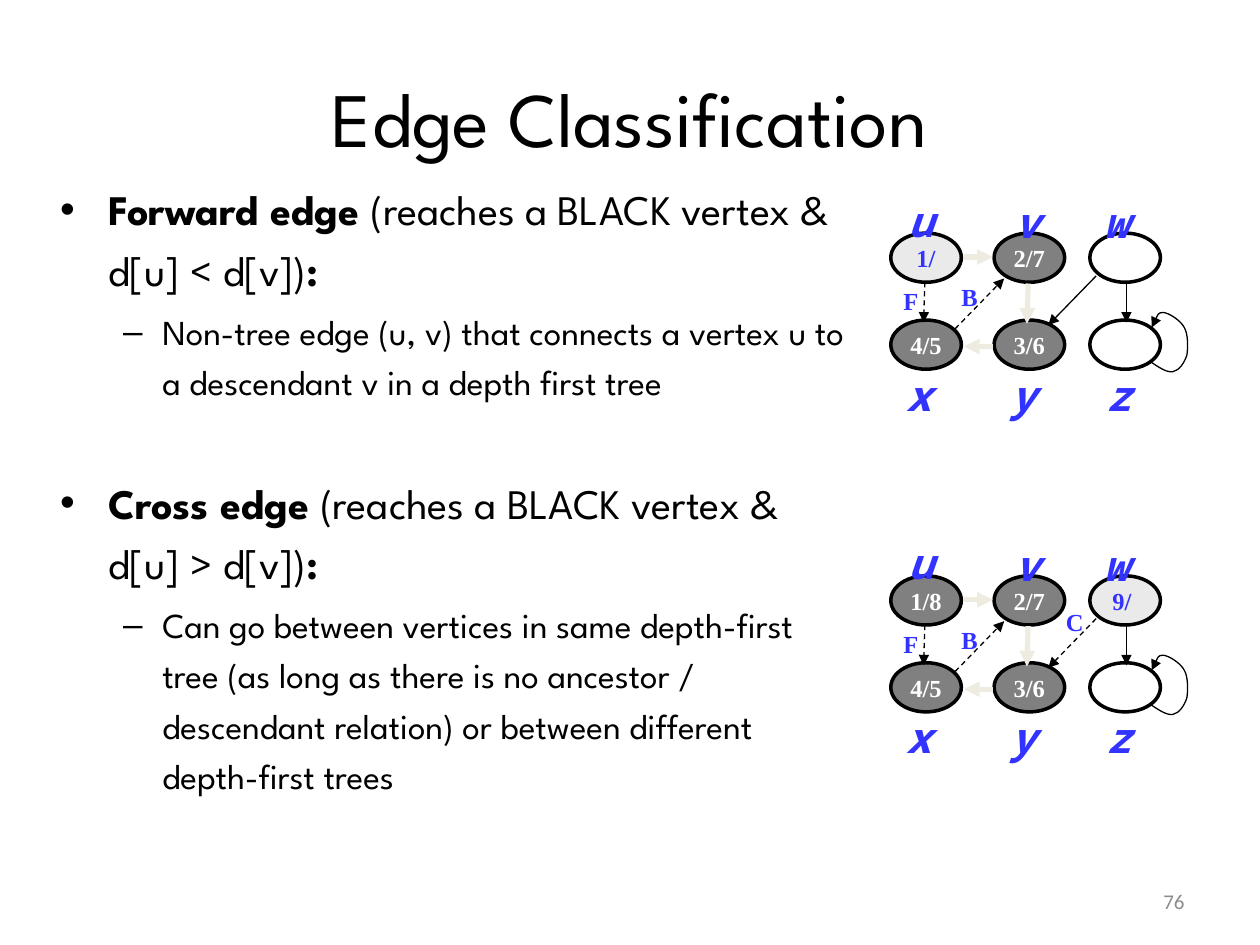
from lxml import etree
from pptx import Presentation
from pptx.dml.color import RGBColor
from pptx.enum import dml, shapes, text
from pptx.oxml import ns
from pptx.util import Inches, Pt

BLACK = RGBColor(0x00, 0x00, 0x00)
WHITE = RGBColor(0xFF, 0xFF, 0xFF)
DARK = RGBColor(0x80, 0x80, 0x80)
LIGHT = RGBColor(0xEA, 0xEA, 0xEA)
BLUE = RGBColor(0x33, 0x33, 0xFF)
CREAM = RGBColor(0xEE, 0xEC, 0xE1)
PAGE_GRAY = RGBColor(0x8C, 0x8C, 0x8C)

BODY_FONT = "League Spartan"
NODE_FONT = "Times New Roman"
NAME_FONT = "Noto Sans Mono"

COLUMNS = (7.07, 7.89, 8.65)
ROW_GAP = 0.69
# Names and edges are placed for a graph whose first row of nodes is at 1.85.
FIRST_TOP = 1.85
NAMES = [
    ("u", 7.11, 1.5, 0.32), ("v", 7.95, 1.51, 0.31), ("w", 8.66, 1.51, 0.37),
    ("x", 7.09, 2.88, 0.31), ("y", 7.92, 2.88, 0.3), ("z", 8.68, 2.88, 0.31),
]
TREE_EDGES = [
    (8.16, 2.25, 8.15, 2.57), (7.65, 2.04, 7.88, 2.04), (7.88, 2.75, 7.65, 2.75),
]
DASHED_EDGES = [(7.34, 2.24, 7.33, 2.56), (7.58, 2.61, 7.97, 2.21)]
W_TO_Z = (8.94, 2.24, 8.94, 2.56)
W_TO_Y = (8.7, 2.19, 8.32, 2.58)
EDGE_NAMES = [("B", 7.53, 2.19, 0.33), ("F", 7.07, 2.22, 0.32)]
SELF_LOOP = [
    (9.13, 2.87),
    (9.19, 2.91), (9.26, 2.96), (9.31, 2.95),
    (9.36, 2.94), (9.4, 2.88), (9.42, 2.82),
    (9.43, 2.76), (9.43, 2.65), (9.4, 2.6),
    (9.37, 2.54), (9.27, 2.48), (9.23, 2.48),
    (9.19, 2.48), (9.17, 2.54), (9.14, 2.6),
]


def add_span(para, words, size, font, color=BLACK, bold=False, italic=False):
    span = para.add_run()
    span.text = words
    span.font.size = Pt(size)
    span.font.name = font
    span.font.color.rgb = color
    span.font.bold = bold
    span.font.italic = italic


def add_label(page, words, left, top, width, height, align=text.PP_ALIGN.CENTER,
              anchor=text.MSO_ANCHOR.TOP, grow=True, **style):
    box = page.shapes.add_textbox(
        Inches(left), Inches(top), Inches(width), Inches(height))
    frame = box.text_frame
    frame.word_wrap = not grow
    frame.auto_size = (text.MSO_AUTO_SIZE.SHAPE_TO_FIT_TEXT if grow
                       else text.MSO_AUTO_SIZE.NONE)
    frame.vertical_anchor = anchor
    frame.paragraphs[0].alignment = align
    add_span(frame.paragraphs[0], words, **style)


def add_bullet(para, mark, left, hanging, space, spans, size):
    """Fill a hanging-indent paragraph with (words, bold) spans."""
    properties = para._p.get_or_add_pPr()
    properties.set("marL", str(Inches(left)))
    properties.set("indent", str(-Inches(hanging)))
    para.line_spacing = 1.2
    para.space_before = Pt(space)
    etree.SubElement(properties, ns.qn("a:buFont"), typeface="Arial")
    etree.SubElement(properties, ns.qn("a:buChar"), char=mark)
    for words, bold in spans:
        add_span(para, words, size, BODY_FONT, bold=bold)


def add_body(page):
    box = page.shapes.add_textbox(
        Inches(0.38), Inches(1.33), Inches(6.46), Inches(5.86))
    frame = box.text_frame
    frame.word_wrap = True
    topics = [
        ("Forward edge ", "(reaches a BLACK vertex & d[u] < d[v])",
         "Non-tree edge (u, v) that connects a vertex u to a descendant v "
         "in a depth first tree", 5),
        ("Cross edge ", "(reaches a BLACK vertex & d[u] > d[v])",
         "Can go between vertices in same depth-first tree (as long as there "
         "is no ancestor / descendant relation) or between different "
         "depth-first trees", 37),
    ]
    for index, (name, condition, meaning, space) in enumerate(topics):
        para = frame.add_paragraph() if index else frame.paragraphs[0]
        add_bullet(para, "•", 0.38, 0.38, space,
                   [(name, True), (condition, False), (":", True)], 24)
        para = frame.add_paragraph()
        para.level = 1
        add_bullet(para, "–", 0.81, 0.31, 4, [(meaning, False)], 20)


def add_node(page, words, left, top, fill):
    node = page.shapes.add_shape(
        shapes.MSO_SHAPE.OVAL, Inches(left), Inches(top), Inches(0.56), Inches(0.39))
    node.shadow.inherit = False
    node.line.color.rgb = BLACK
    node.line.width = Pt(2)
    if fill is None:
        node.fill.background()
        return
    node.fill.solid()
    node.fill.fore_color.rgb = fill
    frame = node.text_frame
    frame.word_wrap = False
    frame.vertical_anchor = text.MSO_ANCHOR.MIDDLE
    frame.paragraphs[0].alignment = text.PP_ALIGN.CENTER
    add_span(frame.paragraphs[0], words, 14, NODE_FONT,
             WHITE if fill == DARK else BLUE, bold=True)


def style_arrow(line, color, width, dashed=False):
    line.color.rgb = color
    line.width = Pt(width)
    if dashed:
        line.dash_style = dml.MSO_LINE.DASH
    etree.SubElement(line._get_or_add_ln(), ns.qn("a:tailEnd"), type="triangle")


def add_edge(page, ends, shift, color=BLACK, width=0.75, dashed=False):
    x1, y1, x2, y2 = ends
    edge = page.shapes.add_connector(
        shapes.MSO_CONNECTOR.STRAIGHT, Inches(x1), Inches(y1 + shift),
        Inches(x2), Inches(y2 + shift))
    style_arrow(edge.line, color, width, dashed)
    etree.SubElement(edge._element.spPr, ns.qn("a:effectLst"))


def add_self_loop(page, shift):
    """Draw the points as one outline, then join every three as a cubic curve."""
    points = [(Inches(x), Inches(y + shift)) for x, y in SELF_LOOP]
    builder = page.shapes.build_freeform(*points[0])
    builder.add_line_segments(points[1:], close=False)
    loop = builder.convert_to_shape()
    loop.shadow.inherit = False
    loop.fill.background()
    style_arrow(loop.line, BLACK, 0.75)
    outline = next(loop._element.iter(ns.qn("a:path")))
    steps = outline.findall(ns.qn("a:lnTo"))
    for start in range(0, len(steps), 3):
        curve = etree.SubElement(outline, ns.qn("a:cubicBezTo"))
        for step in steps[start:start + 3]:
            curve.append(step[0])
            outline.remove(step)


def add_graph(page, top, nodes, cross=False):
    shift = top - FIRST_TOP
    for index, (words, fill) in enumerate(nodes):
        row, column = divmod(index, len(COLUMNS))
        add_node(page, words, COLUMNS[column], top + row * ROW_GAP, fill)
    for name, left, name_top, width in NAMES:
        add_label(page, name, left, name_top + shift, width, 0.4, size=24,
                  font=NAME_FONT, color=BLUE, bold=True, italic=True)
    for ends in TREE_EDGES:
        add_edge(page, ends, shift, CREAM, 3)
    for ends in DASHED_EDGES:
        add_edge(page, ends, shift, dashed=True)
    add_edge(page, W_TO_Z, shift)
    add_edge(page, W_TO_Y, shift, dashed=cross)
    add_self_loop(page, shift)
    for name, left, name_top, width in EDGE_NAMES + [("C", 8.36, 2.05, 0.34)] * cross:
        add_label(page, name, left, name_top + shift, width, 0.33, size=14,
                  font=NODE_FONT, color=BLUE, bold=True)


def add_title(page):
    title = page.shapes.title
    title.left, title.top = Inches(0.5), Inches(0.3)
    title.width, title.height = Inches(9), Inches(1.25)
    title.text_frame.vertical_anchor = text.MSO_ANCHOR.MIDDLE
    para = title.text_frame.paragraphs[0]
    para.alignment = text.PP_ALIGN.CENTER
    add_span(para, "Edge Classification", 44, BODY_FONT)


def main():
    deck = Presentation()
    deck.slide_width, deck.slide_height = Inches(10), Inches(7.5)
    page = deck.slides.add_slide(deck.slide_layouts[5])
    add_title(page)
    add_body(page)
    visited = [("4/5", DARK), ("3/6", DARK), ("", None)]
    add_graph(page, 1.85, [("1/", LIGHT), ("2/7", DARK), ("", None)] + visited)
    add_graph(page, 4.57, [("1/8", DARK), ("2/7", DARK), ("9/ ", LIGHT)] + visited,
              cross=True)
    add_label(page, "76", 7.17, 6.95, 2.33, 0.4, align=text.PP_ALIGN.RIGHT,
              anchor=text.MSO_ANCHOR.MIDDLE, grow=False, size=12,
              font="Calibri", color=PAGE_GRAY)
    deck.save("out.pptx")


if __name__ == "__main__":
    main()
